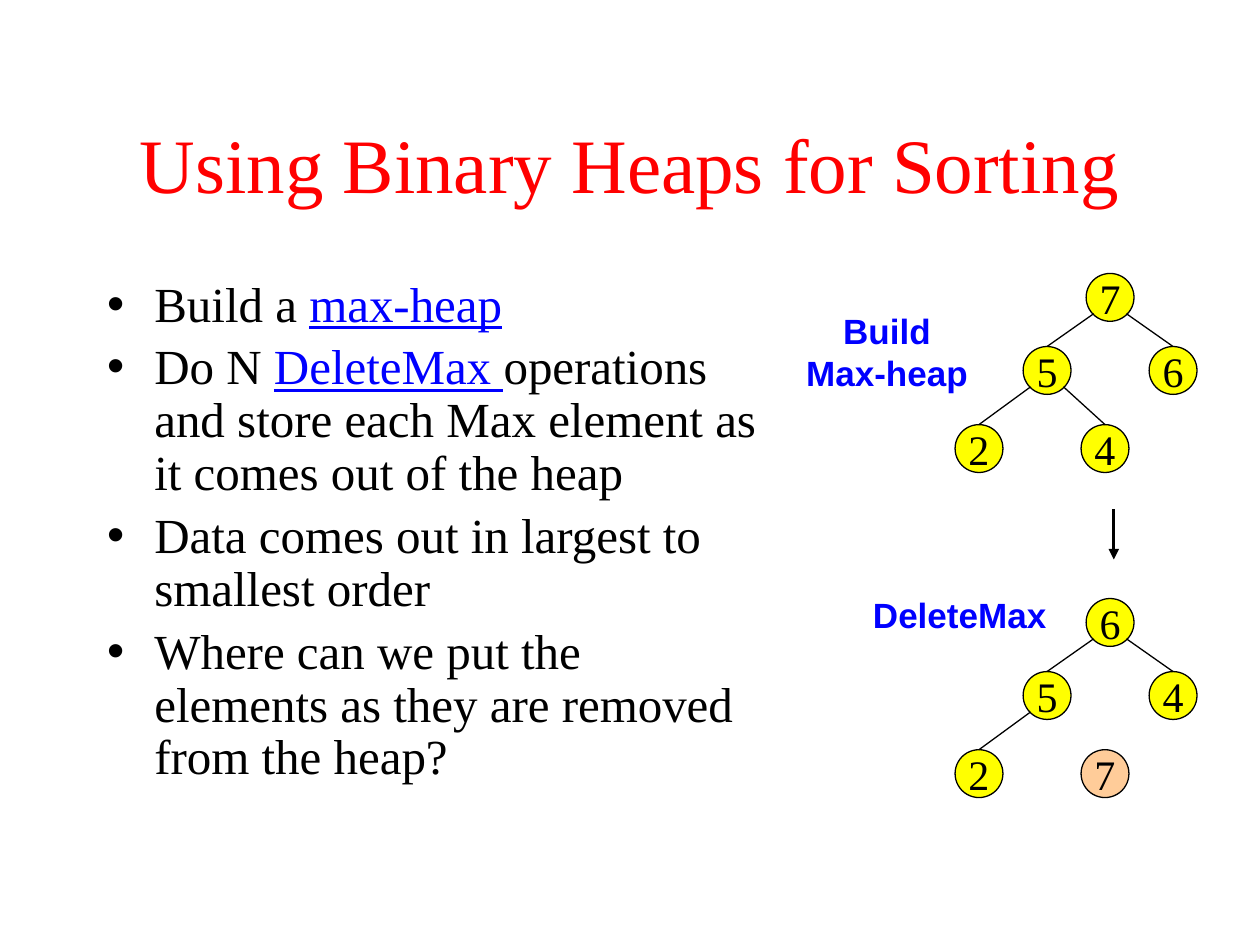
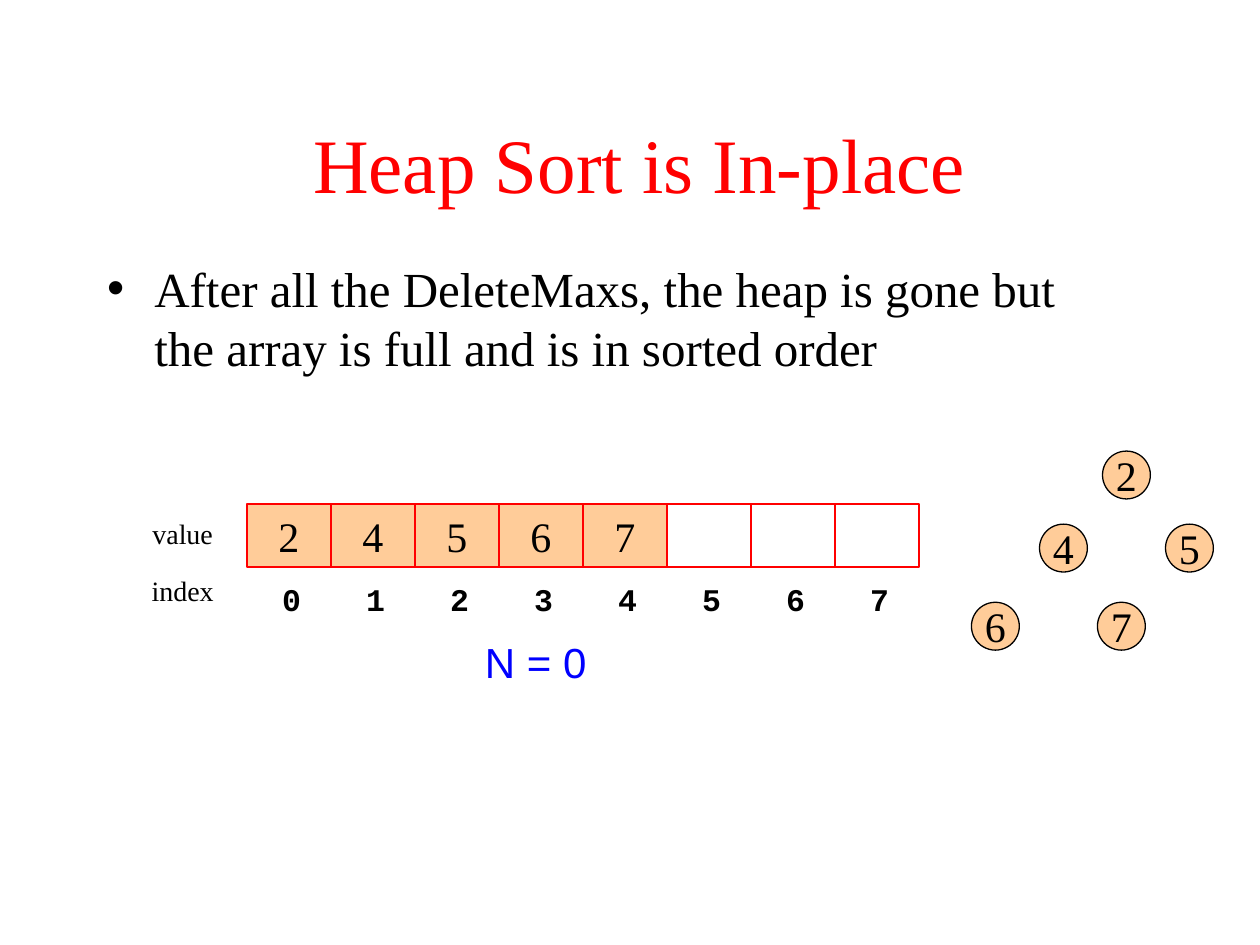
from dataclasses import dataclass

from lxml import etree
from pptx import Presentation
from pptx.dml.color import RGBColor
from pptx.enum.shapes import MSO_CONNECTOR, MSO_SHAPE
from pptx.enum.text import MSO_ANCHOR, MSO_AUTO_SIZE, PP_ALIGN
from pptx.oxml.ns import qn
from pptx.util import Inches, Pt

BLACK = RGBColor(0x00, 0x00, 0x00)
RED = RGBColor(0xFF, 0x00, 0x00)
BLUE = RGBColor(0x00, 0x00, 0xFF)
YELLOW = RGBColor(0xFF, 0xFF, 0x00)
PEACH = RGBColor(0xFF, 0xCC, 0x99)

SERIF = "Times New Roman"
SANS = "Arial"
MONO = "Courier New"

STRAIGHT = MSO_CONNECTOR.STRAIGHT
OVAL = MSO_SHAPE.OVAL
RECTANGLE = MSO_SHAPE.RECTANGLE
CENTER = PP_ALIGN.CENTER
LEFT = PP_ALIGN.LEFT
TOP = MSO_ANCHOR.TOP
MIDDLE = MSO_ANCHOR.MIDDLE
FIXED_SIZE = MSO_AUTO_SIZE.NONE
GROW = MSO_AUTO_SIZE.SHAPE_TO_FIT_TEXT

NODE_SIZE = 0.38
# Node places in level order, relative to the root
NODE_OFFSETS = ((0, 0), (-0.5, 0.58), (0.5, 0.58), (-1.04, 1.2), (-0.04, 1.2))
EDGE_INSET = 0.06

ARRAY_LENGTH = 8
ARRAY_LEFT, ARRAY_TOP = 1.96, 4.0
CELL_WIDTH, CELL_HEIGHT = 2 / 3, 0.5


@dataclass(frozen=True)
class Tree:
    """A tree in level order; its first heap_size nodes are still in the heap."""
    left: float
    top: float
    keys: tuple[int, ...]
    heap_size: int


@dataclass(frozen=True)
class Label:
    lines: tuple[str, ...]
    left: float
    top: float
    width: float
    height: float
    size: int
    font: str = SANS
    color: RGBColor = BLUE
    bold: bool = False
    align: PP_ALIGN = LEFT
    anchor: MSO_ANCHOR = TOP
    auto_size: MSO_AUTO_SIZE = GROW


@dataclass(frozen=True)
class Span:
    text: str
    is_term: bool = False


BUILD_TREE = Tree(8.62, 2.17, (7, 5, 6, 2, 4), 5)
DELETED_TREE = Tree(8.62, 4.75, (6, 5, 4, 2, 7), 4)
SORTED_TREE = Tree(8.75, 3.58, (2, 4, 5, 6, 7), 0)

STEP_LABELS = (
    Label(("Build", "Max-heap"), 6.24, 2.41, 1.6, 0.77, 20, bold=True, align=CENTER,
          auto_size=FIXED_SIZE),
    Label(("DeleteMax",), 6.83, 4.66, 1.65, 0.43, 20, bold=True, auto_size=FIXED_SIZE),
)
ARRAY_LABELS = (
    Label(("N = 0",), 3.75, 5, 1.01, 0.5, 24),
    Label(("value",), 1.11, 4.05, 0.68, 0.37, 16, SERIF, BLACK, align=CENTER, anchor=MIDDLE),
    Label(("index",), 1.1, 4.5, 0.7, 0.37, 16, SERIF, BLACK, align=CENTER, anchor=MIDDLE),
)

SORTING_BULLETS = (
    (Span("Build a "), Span("max-heap", True)),
    (Span("Do N "), Span("DeleteMax ", True),
     Span("operations and store each Max element as it comes out of the heap")),
    (Span("Data comes out in largest to smallest order"),),
    (Span("Where can we put the elements as they are removed from the heap?"),),
)
IN_PLACE_BULLETS = (
    (Span("After all the DeleteMaxs, the heap is gone but the array is full "
          "and is in sorted order"),),
)


def set_font(para, size: int, name: str, color: RGBColor, bold: bool = False) -> None:
    para.font.size = Pt(size)
    para.font.name = name
    para.font.color.rgb = color
    para.font.bold = bold


def place(shape, left: float, top: float, width: float, height: float) -> None:
    shape.left, shape.top = Inches(left), Inches(top)
    shape.width, shape.height = Inches(width), Inches(height)


def add_slide(deck, title_text: str, title_margin: float = 0.1):
    slide = deck.slides.add_slide(deck.slide_layouts[1])
    title = slide.shapes.title
    place(title, 0.75, 0.67, 8.5, 1.25)
    frame = title.text_frame
    frame.text = title_text
    frame.auto_size = FIXED_SIZE
    frame.vertical_anchor = MIDDLE
    frame.margin_left = Inches(title_margin)
    frame.paragraphs[0].alignment = CENTER
    set_font(frame.paragraphs[0], 44, SERIF, RED)
    return slide


def fill_body(slide, bullets: tuple[tuple[Span, ...], ...],
              bounds: tuple[float, float, float, float], line_spacing: float) -> None:
    body = slide.placeholders[1]
    place(body, *bounds)
    frame = body.text_frame
    frame.auto_size = FIXED_SIZE
    for number, spans in enumerate(bullets):
        para = frame.add_paragraph() if number else frame.paragraphs[0]
        para.line_spacing = line_spacing
        para.space_before = Pt(5.6 if number else 0)
        set_font(para, 28, SERIF, BLACK)
        for span in spans:
            run = para.add_run()
            run.text = span.text
            if span.is_term:
                run.font.color.rgb = BLUE
                run.font.underline = True


def add_label(shapes, label: Label) -> None:
    box = shapes.add_textbox(Inches(label.left), Inches(label.top),
                             Inches(label.width), Inches(label.height))
    frame = box.text_frame
    frame.word_wrap = False
    frame.auto_size = label.auto_size
    frame.vertical_anchor = label.anchor
    for number, line in enumerate(label.lines):
        para = frame.add_paragraph() if number else frame.paragraphs[0]
        para.text = line
        para.alignment = label.align
        set_font(para, label.size, label.font, label.color, label.bold)


def add_key_shape(slide, kind: MSO_SHAPE, bounds: tuple[float, float, float, float],
                  key: int | None, fill: RGBColor, outline: RGBColor) -> None:
    """Draw a tree node or array cell; one without a key is hollow."""
    shape = slide.shapes.add_shape(kind, *map(Inches, bounds))
    shape.shadow.inherit = False
    shape.line.color.rgb = outline
    shape.line.width = Pt(0.75)
    if key is None:
        shape.fill.background()
        return
    shape.fill.solid()
    shape.fill.fore_color.rgb = fill
    frame = shape.text_frame
    frame.word_wrap = False
    frame.vertical_anchor = MIDDLE
    para = frame.paragraphs[0]
    para.text = str(key)
    para.alignment = CENTER
    set_font(para, 24, SERIF, BLACK)


def add_line(slide, start: tuple[float, float], end: tuple[float, float],
             width: float = 0.75, arrow: bool = False) -> None:
    line = slide.shapes.add_connector(STRAIGHT, *map(Inches, start + end))
    line.line.color.rgb = BLACK
    line.line.width = Pt(width)
    properties = line._element.spPr
    if arrow:
        etree.SubElement(properties.find(qn("a:ln")), qn("a:tailEnd"), type="triangle")
    etree.SubElement(properties, qn("a:effectLst"))


def add_tree(slide, tree: Tree) -> None:
    corners = [(tree.left + x, tree.top + y) for x, y in NODE_OFFSETS]
    for number, (key, (left, top)) in enumerate(zip(tree.keys, corners)):
        in_heap = number < tree.heap_size
        add_key_shape(slide, OVAL, (left, top, NODE_SIZE, NODE_SIZE), key,
                      YELLOW if in_heap else PEACH, BLACK)
        if in_heap and number:
            parent_left, parent_top = corners[(number - 1) // 2]
            is_left_child = number % 2 == 1
            inset = EDGE_INSET if is_left_child else NODE_SIZE - EDGE_INSET
            add_line(slide, (parent_left + inset, parent_top + NODE_SIZE - EDGE_INSET),
                     (left + NODE_SIZE / 2, top))


def add_array(slide, keys: tuple[int, ...]) -> None:
    indexes = slide.shapes.add_group_shape()
    for index in range(ARRAY_LENGTH):
        left = ARRAY_LEFT + index * CELL_WIDTH
        key = keys[index] if index < len(keys) else None
        add_key_shape(slide, RECTANGLE, (left, ARRAY_TOP, CELL_WIDTH, CELL_HEIGHT),
                      key, PEACH, RED)
        add_label(indexes.shapes, Label(
            (str(index),), left + 0.02, ARRAY_TOP + CELL_HEIGHT, CELL_WIDTH, CELL_HEIGHT,
            18, MONO, BLACK, bold=True, align=CENTER, anchor=MIDDLE, auto_size=FIXED_SIZE))


def build_sorting_slide(deck) -> None:
    slide = add_slide(deck, "Using Binary Heaps for Sorting")
    fill_body(slide, SORTING_BULLETS, (0.75, 2.17, 5.42, 4.5), 0.9)
    add_line(slide, (8.84, 4.04), (8.84, 4.44), 1.5, arrow=True)
    for label in STEP_LABELS:
        add_label(slide.shapes, label)
    add_tree(slide, BUILD_TREE)
    add_tree(slide, DELETED_TREE)


def build_in_place_slide(deck) -> None:
    slide = add_slide(deck, "Heap Sort is In-place", title_margin=0.25)
    fill_body(slide, IN_PLACE_BULLETS, (0.75, 2, 8.25, 1.17), 1.0)
    for label in ARRAY_LABELS:
        add_label(slide.shapes, label)
    add_array(slide, SORTED_TREE.keys)
    add_tree(slide, SORTED_TREE)


def main() -> None:
    deck = Presentation()
    deck.slide_width, deck.slide_height = Inches(10), Inches(7.5)
    build_sorting_slide(deck)
    build_in_place_slide(deck)
    deck.save("out.pptx")


if __name__ == "__main__":
    main()
